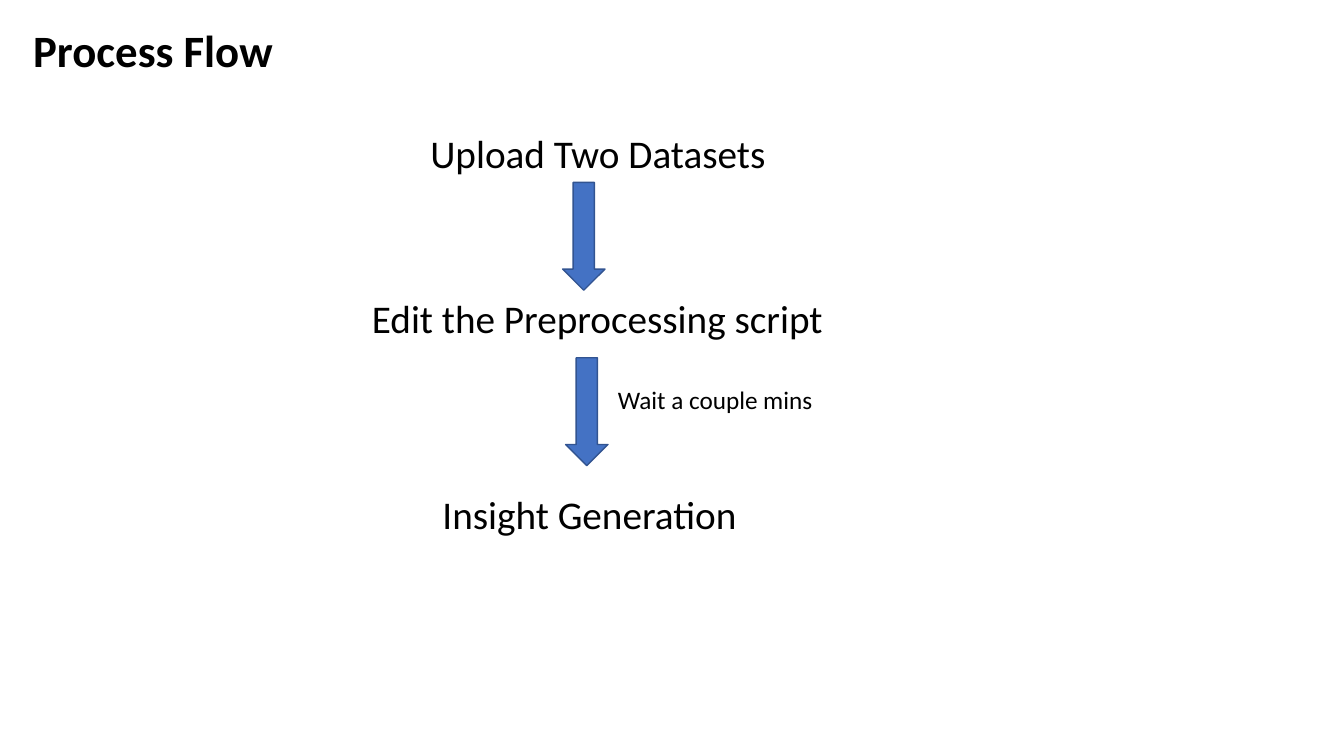
from pptx import Presentation
from pptx.dml.color import RGBColor
from pptx.enum.shapes import MSO_SHAPE as Shape
from pptx.enum.text import MSO_AUTO_SIZE as AutoSize
from pptx.util import Inches, Pt

FONT = "Calibri"
BLACK, BLUE, DARK_BLUE = "000000", "4472C4", "325491"

# Left, top, width and wording of each step
STEPS = [
    (4.17, 1.23, 5, "Upload Two Datasets"),
    (3.59, 2.87, 5.19, "Edit the Preprocessing script"),
    (4.29, 4.82, 5.19, "Insight Generation"),
]
# Left and top of each arrow between the steps
ARROWS = [(5.58, 1.81), (5.61, 3.55)]


def color(value):
    return RGBColor.from_string(value)


def add_label(page, left, top, width, height, text, size, bold=False):
    box = page.shapes.add_textbox(
        Inches(left), Inches(top), Inches(width), Inches(height))
    frame = box.text_frame
    frame.word_wrap = True
    frame.auto_size = AutoSize.SHAPE_TO_FIT_TEXT
    span = frame.paragraphs[0].add_run()
    span.text = text
    span.font.name = FONT
    span.font.size = Pt(size)
    span.font.bold = bold
    span.font.color.rgb = color(BLACK)


def add_down_arrow(page, left, top):
    arrow = page.shapes.add_shape(
        Shape.DOWN_ARROW, Inches(left), Inches(top), Inches(0.42), Inches(1.07))
    arrow.shadow.inherit = False
    arrow.fill.solid()
    arrow.fill.fore_color.rgb = color(BLUE)
    arrow.line.color.rgb = color(DARK_BLUE)
    arrow.line.width = Pt(1)


def main():
    deck = Presentation()
    deck.slide_width, deck.slide_height = Inches(13.33), Inches(7.5)
    page = deck.slides.add_slide(deck.slide_layouts[6])

    # Title
    add_label(page, 0.23, 0.18, 4.55, 0.64, "Process Flow", 32, bold=True)

    # Steps and the arrows that join them
    for left, top, width, text in STEPS:
        add_label(page, left, top, width, 0.57, text, 28)
    for left, top in ARROWS:
        add_down_arrow(page, left, top)

    # Note beside the second arrow
    add_label(page, 6.03, 3.76, 2.36, 0.4, "Wait a couple mins", 18)

    deck.save("out.pptx")


if __name__ == "__main__":
    main()
